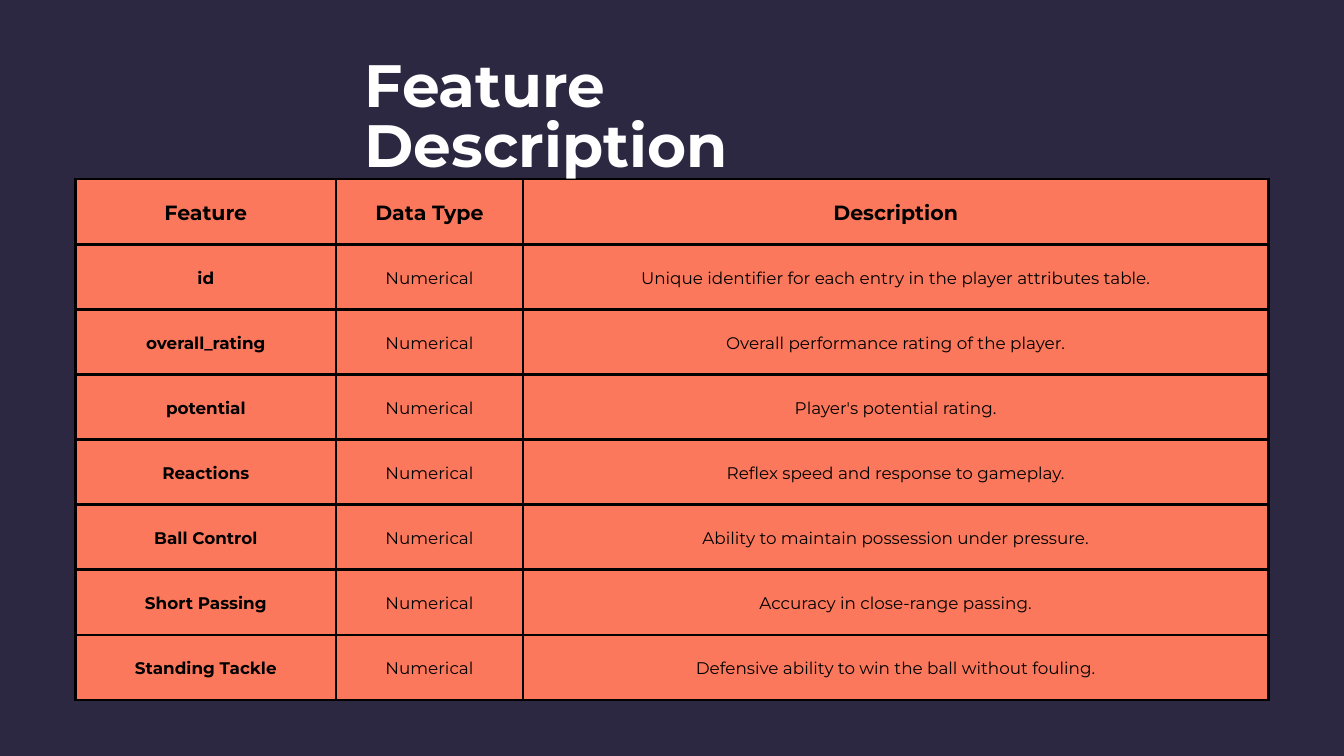
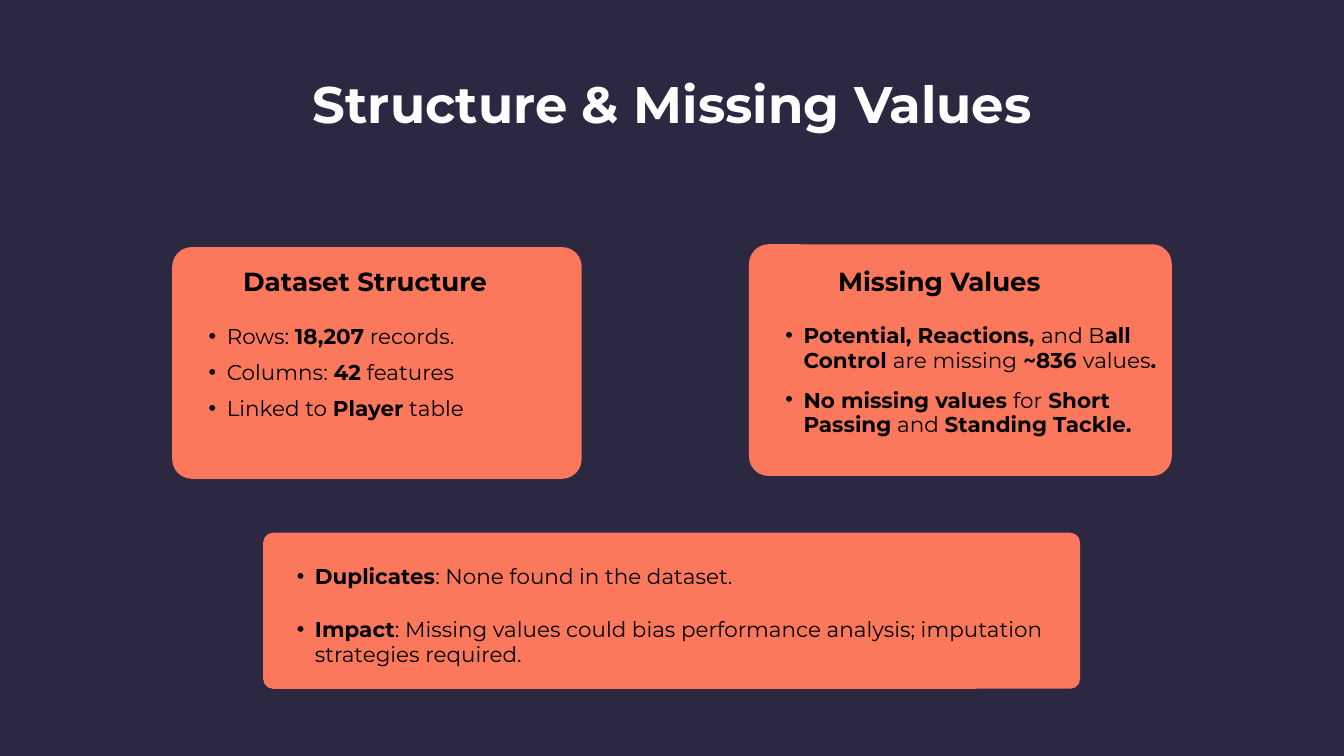
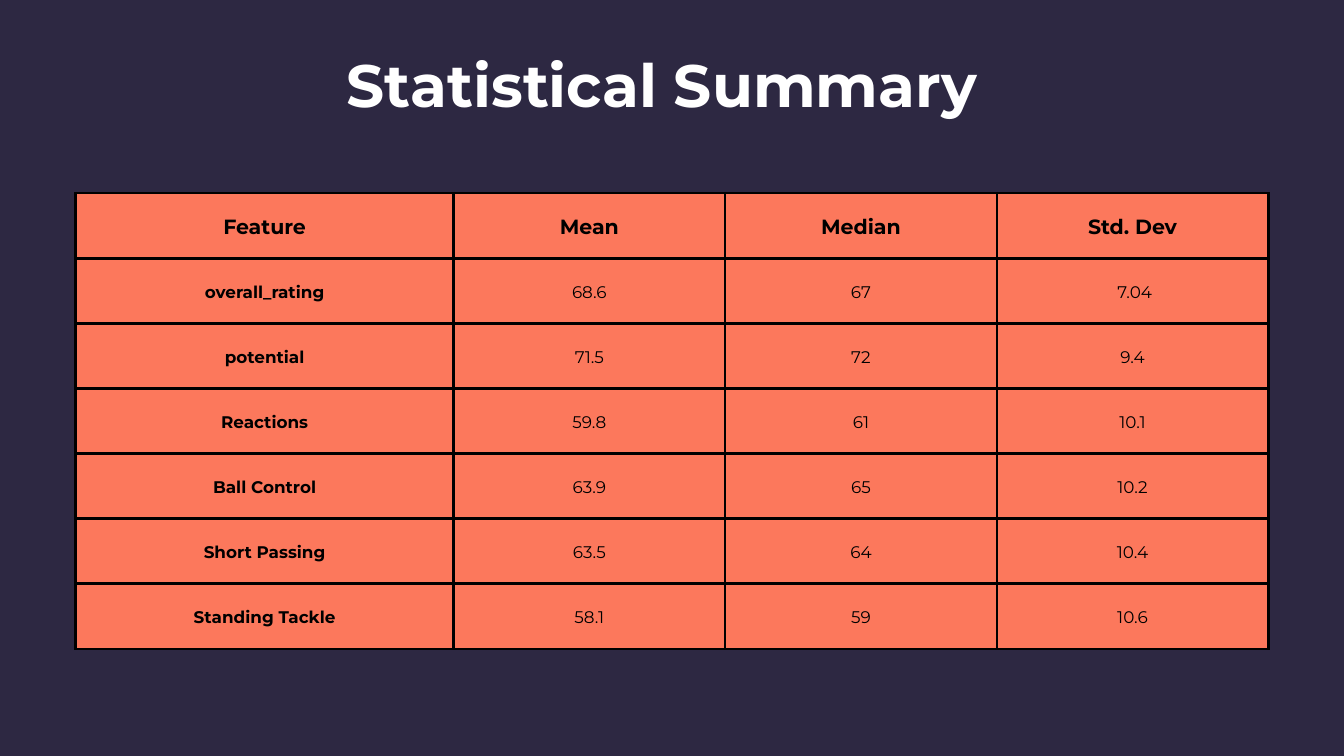
from dataclasses import dataclass

from lxml.etree import SubElement
from pptx import Presentation
from pptx.dml.color import RGBColor
from pptx.enum.shapes import MSO_SHAPE as Preset
from pptx.enum.text import MSO_ANCHOR as Anchor
from pptx.enum.text import MSO_AUTO_SIZE as AutoSize
from pptx.enum.text import PP_ALIGN as Align
from pptx.oxml import parse_xml
from pptx.oxml.ns import nsdecls, qn
from pptx.slide import Slide
from pptx.util import Emu, Pt

# Shared style
FONT = "Montserrat"
NAVY, CORAL, BLACK, WHITE = "2D2842", "FC785C", "000000", "FFFFFF"
EMU_PER_PX = 9525
TABLE_LEFT, ROW_HEIGHT, CELL_INSET = 108, 93, 20
BORDER_PT = 3
BULLET_INDENT, BULLET_HANG = 52, -26


@dataclass
class Area:
    left: int
    top: int
    width: int
    height: int


@dataclass
class Card:
    area: Area
    radius: int


@dataclass
class Label:
    text: str
    area: Area


@dataclass
class Bullet:
    text: str
    area: Area
    leading: float = 23


@dataclass
class Grid:
    top: int
    widths: list[int]
    rows: list[list[str]]


def px(length: int) -> Emu:
    return Emu(length * EMU_PER_PX)


def color(value: str) -> RGBColor:
    return RGBColor.from_string(value)


def place(area: Area) -> tuple[Emu, Emu, Emu, Emu]:
    return px(area.left), px(area.top), px(area.width), px(area.height)


def write(frame, text: str, *, size: int, leading: float, ink: str = BLACK,
          bold: bool = False, align: Align = Align.LEFT, bullet: bool = False) -> None:
    """Write one paragraph; parts between ** marks are bold."""
    para = frame.paragraphs[0]
    if bullet:
        para.level = 1
        props = para._p.get_or_add_pPr()
        props.set("marL", str(px(BULLET_INDENT)))
        props.set("indent", str(px(BULLET_HANG)))
        SubElement(props, qn("a:buFont")).set("typeface", "Arial")
        SubElement(props, qn("a:buChar")).set("char", "•")
    para.alignment = align
    para.line_spacing = Pt(leading)
    for index, part in enumerate(text.split("**")):
        if part:
            span = para.add_run()
            span.text = part
            span.font.name = FONT
            span.font.size = Pt(size)
            span.font.bold = bold or index % 2 == 1
            span.font.color.rgb = color(ink)


def add_text(page: Slide, area: Area, text: str, **style) -> None:
    frame = page.shapes.add_textbox(*place(area)).text_frame
    frame.margin_left = frame.margin_top = frame.margin_right = frame.margin_bottom = 0
    frame.word_wrap = True
    frame.auto_size = AutoSize.SHAPE_TO_FIT_TEXT
    write(frame, text, **style)


def add_title(page: Slide, title: Label, size: int = 64, align: Align = Align.LEFT) -> None:
    add_text(page, title.area, title.text, size=size, leading=size, ink=WHITE,
             bold=True, align=align)


def add_heading(page: Slide, heading: Label) -> None:
    add_text(page, heading.area, heading.text, size=28, leading=28, bold=True,
             align=Align.CENTER)


def add_bullet(page: Slide, item: Bullet) -> None:
    add_text(page, item.area, item.text, size=23, leading=item.leading, bullet=True)


def add_card(page: Slide, card: Card) -> None:
    shape = page.shapes.add_shape(Preset.ROUNDED_RECTANGLE, *place(card.area))
    shape.adjustments[0] = card.radius / min(card.area.width, card.area.height)
    shape.shadow.inherit = False
    shape.fill.solid()
    shape.fill.fore_color.rgb = color(CORAL)
    shape.line.fill.background()


def add_borders(cell) -> None:
    props = cell._tc.get_or_add_tcPr()
    for index, side in enumerate("LRTB"):
        props.insert(index, parse_xml(
            f'<a:ln{side} {nsdecls("a")} w="{Pt(BORDER_PT)}"><a:solidFill>'
            f'<a:srgbClr val="{BLACK}"/></a:solidFill></a:ln{side}>'))


def add_grid(page: Slide, grid: Grid) -> None:
    area = Area(TABLE_LEFT, grid.top, sum(grid.widths), ROW_HEIGHT * len(grid.rows))
    table = page.shapes.add_table(len(grid.rows), len(grid.widths), *place(area)).table
    table.first_row = table.horz_banding = False
    for column, width in zip(table.columns, grid.widths):
        column.width = px(width)
    for row_index, row in enumerate(grid.rows):
        table.rows[row_index].height = px(ROW_HEIGHT)
        size = 18 if row_index else 22
        for column_index, text in enumerate(row):
            cell = table.cell(row_index, column_index)
            cell.margin_left = cell.margin_right = px(CELL_INSET)
            cell.margin_top = cell.margin_bottom = px(CELL_INSET)
            cell.vertical_anchor = Anchor.MIDDLE
            cell.fill.solid()
            cell.fill.fore_color.rgb = color(CORAL)
            add_borders(cell)
            write(cell.text_frame, text, size=size, leading=size * 1.4,
                  bold=row_index == 0 or column_index == 0, align=Align.CENTER)


def add_page(deck) -> Slide:
    page = deck.slides.add_slide(deck.slide_layouts[6])
    page.background.fill.solid()
    page.background.fill.fore_color.rgb = color(NAVY)
    return page


# Slide content
FEATURES = [
    ("id", "Unique identifier for each entry in the player attributes table."),
    ("overall_rating", "Overall performance rating of the player."),
    ("potential", "Player's potential rating."),
    ("Reactions", "Reflex speed and response to gameplay."),
    ("Ball Control", "Ability to maintain possession under pressure."),
    ("Short Passing", "Accuracy in close-range passing."),
    ("Standing Tackle", "Defensive ability to win the ball without fouling."),
]
FEATURE_GRID = Grid(256, [372, 267, 1065], [
    ["Feature", "Data Type", "Description"],
    *[[name, "Numerical", meaning] for name, meaning in FEATURES],
])
STATISTICS_GRID = Grid(276, [540, 388, 388, 388], [
    ["Feature", "Mean", "Median", "Std. Dev"],
    ["overall_rating", "68.6", "67", " 7.04"],
    ["potential", "71.5", "72", "9.4"],
    ["Reactions", "59.8", "61", "10.1"],
    ["Ball Control", "63.9", "65", "10.2"],
    ["Short Passing", "63.5", "64", "10.4"],
    ["Standing Tackle", "58.1", "59", "10.6"],
])
CARDS = [
    Card(Area(246, 353, 585, 331), 28),
    Card(Area(1070, 349, 604, 331), 28),
    Card(Area(376, 761, 1167, 223), 14),
]
HEADINGS = [
    Label("Dataset Structure", Area(338, 387, 367, 38)),
    Label("Missing Values", Area(1187, 387, 310, 38)),
]
STRUCTURE = ["Rows: **18,207** records.", "Columns: **42** features",
             "Linked to **Player** table"]
BULLETS = [
    *[Bullet(text, Area(272, 468 + 51 * index, 497, 32))
      for index, text in enumerate(STRUCTURE)],
    Bullet("**Potential, Reactions, **and B**all Control **are missing** ~836 **values**.**",
           Area(1096, 462, 559, 70), 26.4),
    Bullet("**No missing values** for** Short Passing** and **Standing Tackle.**",
           Area(1096, 554, 559, 70), 26.4),
    Bullet("**Duplicates**: None found in the dataset.", Area(398, 811, 980, 32)),
    Bullet("**Impact**: Missing values could bias performance analysis; "
           "imputation strategies required.", Area(398, 882, 1129, 70), 26.4),
]


def main() -> None:
    deck = Presentation()
    deck.slide_width, deck.slide_height = px(1920), px(1080)

    # Feature description
    page = add_page(deck)
    add_grid(page, FEATURE_GRID)
    add_title(page, Label("Feature Description", Area(521, 86, 878, 89)))

    # Structure and missing values
    page = add_page(deck)
    for card in CARDS:
        add_card(page, card)
    add_title(page, Label("Structure & Missing Values", Area(385, 118, 1151, 78)),
              size=55, align=Align.CENTER)
    for heading in HEADINGS:
        add_heading(page, heading)
    for item in BULLETS:
        add_bullet(page, item)

    # Statistical summary
    page = add_page(deck)
    add_grid(page, STATISTICS_GRID)
    add_title(page, Label("Statistical Summary", Area(495, 86, 929, 89)))

    deck.save("out.pptx")


if __name__ == "__main__":
    main()
